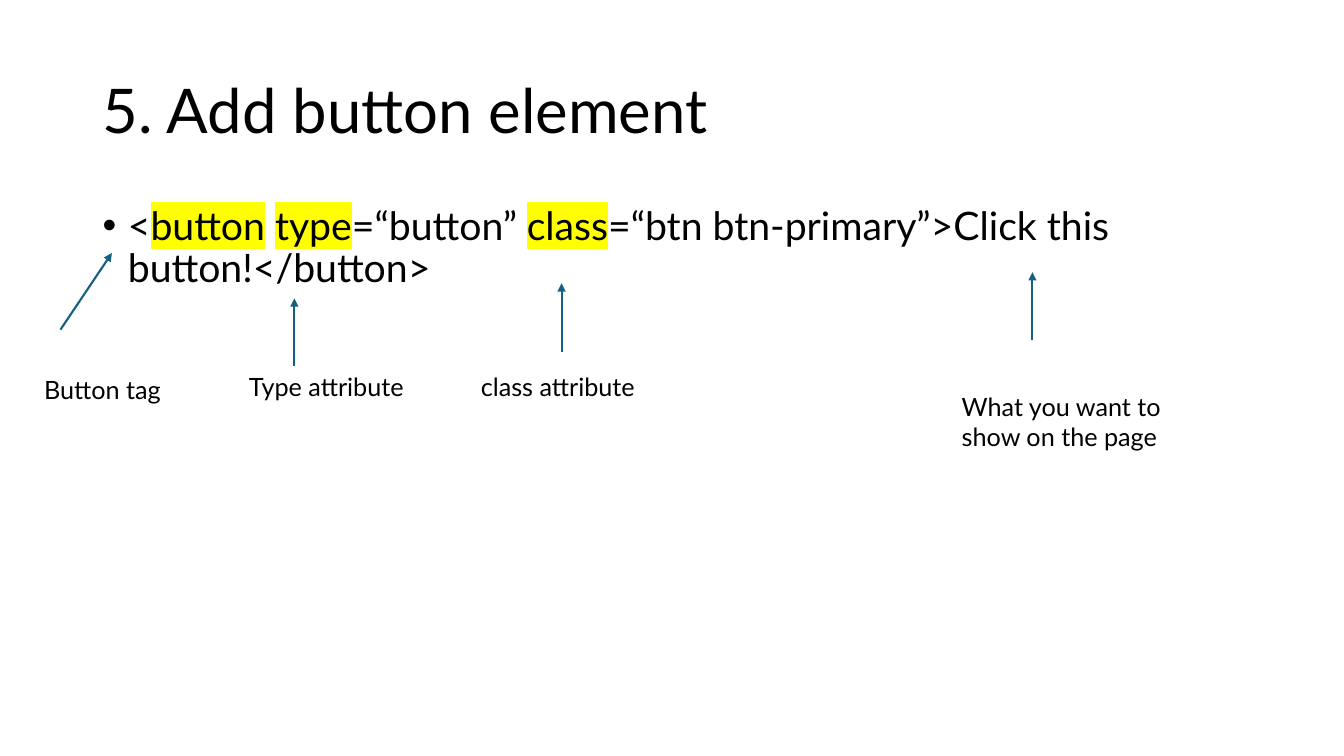
"""Build a slide that explains the parts of an HTML button element."""
import pptx
import pptx.dml.color
import pptx.enum.shapes
import pptx.enum.text
import pptx.oxml
import pptx.oxml.ns
import pptx.util
from pptx.util import Inches

COLORS = {"text": "000000", "arrow": "156082", "highlight": "FFFF00"}
FONT = "Lato"
TITLE = "5. Add button element"
CODE = [
    ("<", False),
    ("button", True),
    (" ", False),
    ("type", True),
    ("=“button” ", False),
    ("class", True),
    ("=“btn btn-primary”>Click this button!</button>", False),
]
LABELS = [
    ("Button tag", (0.34, 3.66, 1.6, 0.4)),
    ("Type attribute", (2.37, 3.63, 1.99, 0.4)),
    ("class attribute", (4.67, 3.63, 1.99, 0.4)),
    ("What you want to show on the page", (9.44, 3.83, 2.75, 0.71)),
]
ARROWS = [
    ((0.6, 3.27), (1.11, 2.51)),
    ((2.92, 3.63), (2.92, 2.96)),
    ((5.57, 3.49), (5.57, 2.81)),
    ((10.24, 3.37), (10.24, 2.7)),
]


def add_xml(parent, tag, **attrs):
    el = pptx.oxml.parse_xml(f"<a:{tag} {pptx.oxml.ns.nsdecls('a')}/>")
    for name, value in attrs.items():
        el.set(name, value)
    parent.append(el)
    return el


def add_run(p, text, size=18, highlight=False):
    r = p.add_run()
    r.text = text
    r.font.size = pptx.util.Pt(size)
    r.font.color.rgb = pptx.dml.color.RGBColor.from_string(COLORS["text"])
    if highlight:
        mark = add_xml(r.font._element, "highlight")
        add_xml(mark, "srgbClr", val=COLORS["highlight"])
    r.font.name = FONT


def add_box(slide, box):
    sp = slide.shapes.add_textbox(*map(Inches, box))
    sp.text_frame.word_wrap = True
    return sp.text_frame


def add_title(slide):
    sp = slide.shapes.title
    sp.left, sp.top, sp.width, sp.height = map(Inches, (0.92, 0.4, 11.5, 1.45))
    tf = sp.text_frame
    tf.vertical_anchor = pptx.enum.text.MSO_ANCHOR.MIDDLE
    p = tf.paragraphs[0]
    p.alignment = pptx.enum.text.PP_ALIGN.LEFT
    p.line_spacing = 0.9
    add_run(p, TITLE, size=44)


def add_code(slide):
    p = add_box(slide, (0.92, 2, 11.5, 1.15)).paragraphs[0]
    p.line_spacing = 0.9
    p.space_before = pptx.util.Pt(10)
    pPr = p._p.get_or_add_pPr()
    pPr.set("marL", str(Inches(0.25)))
    pPr.set("indent", str(Inches(-0.25)))
    add_xml(pPr, "buFont", typeface="Arial")
    add_xml(pPr, "buChar", char="•")
    for text, highlight in CODE:
        add_run(p, text, size=28, highlight=highlight)


def add_arrow(slide, start, end):
    line = slide.shapes.add_connector(
        pptx.enum.shapes.MSO_CONNECTOR.STRAIGHT, *map(Inches, start + end)
    )
    line.line.color.rgb = pptx.dml.color.RGBColor.from_string(COLORS["arrow"])
    line.line.width = pptx.util.Pt(1.5)
    add_xml(line.line._get_or_add_ln(), "tailEnd", type="triangle")
    add_xml(line._element.spPr, "effectLst")


def main():
    prs = pptx.Presentation()
    prs.slide_width, prs.slide_height = Inches(13.33), Inches(7.5)
    slide = prs.slides.add_slide(prs.slide_layouts[5])
    add_title(slide)
    add_code(slide)
    for text, box in LABELS:
        add_run(add_box(slide, box).paragraphs[0], text)
    for start, end in ARROWS:
        add_arrow(slide, start, end)
    prs.save("out.pptx")


if __name__ == "__main__":
    main()
